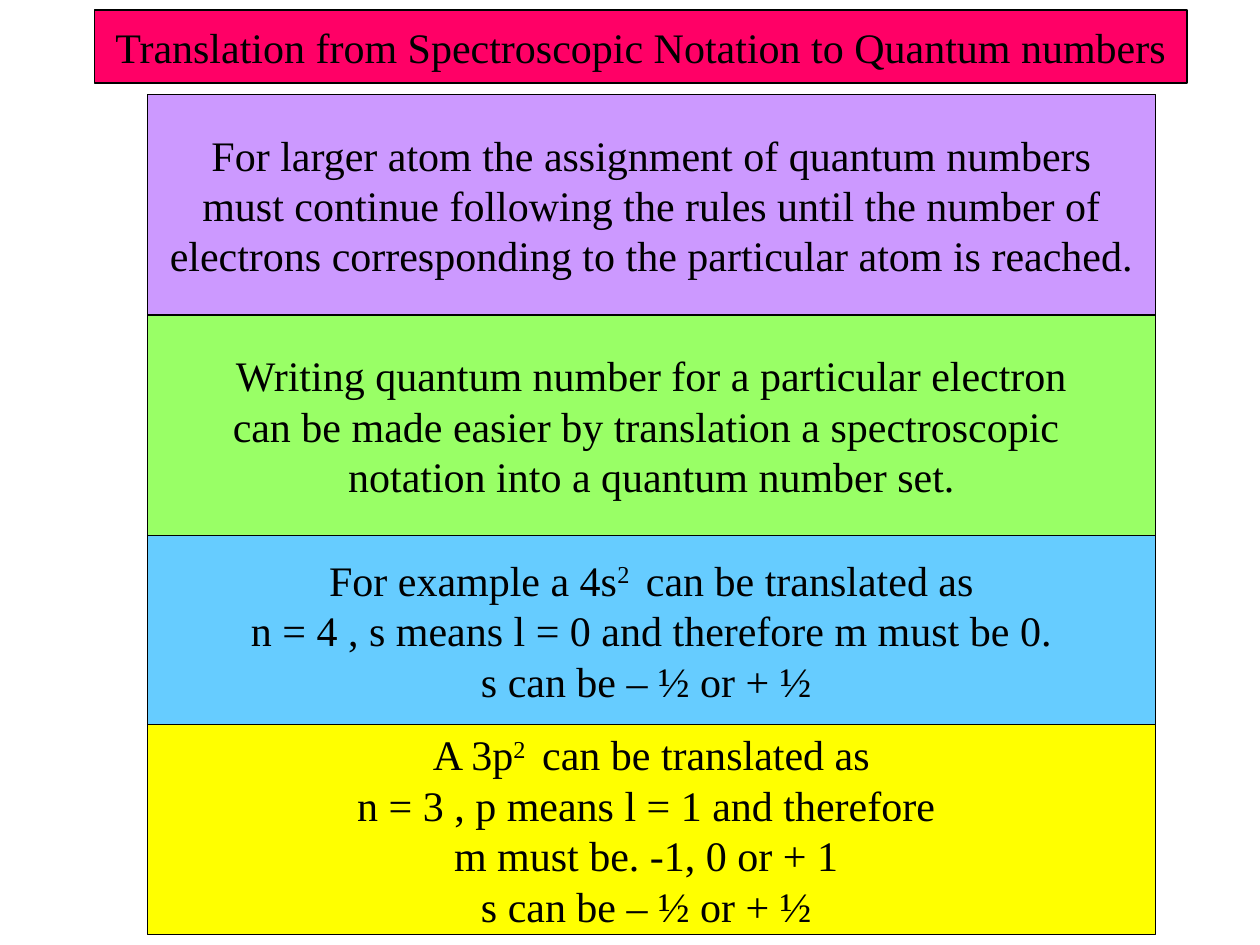
from dataclasses import dataclass

from pptx import Presentation
from pptx.dml.color import RGBColor
from pptx.enum.shapes import MSO_SHAPE
from pptx.enum.text import MSO_ANCHOR, MSO_AUTO_SIZE, PP_ALIGN
from pptx.util import Inches, Pt


@dataclass(frozen=True)
class Theme:
    font: str = "Times New Roman"
    size: float = 24
    line_width: float = 0.74
    ink: str = "000000"
    title: str = "FF0066"
    rules: str = "CC99FF"
    notation: str = "99FF66"
    s_example: str = "66CCFF"
    p_example: str = "FFFF00"


class SlideBuilder:
    def __init__(self, slide, theme):
        self.s = slide
        self.theme = theme

    def style_box(self, sp, fill):
        sp.fill.solid()
        sp.fill.fore_color.rgb = RGBColor.from_string(fill)
        sp.line.color.rgb = RGBColor.from_string(self.theme.ink)
        sp.line.width = Pt(self.theme.line_width)

    def set_lines(self, sp, lines):
        """Set one paragraph per line; text between carets is superscript."""
        tf = sp.text_frame
        tf.word_wrap = False
        tf.auto_size = MSO_AUTO_SIZE.NONE
        tf.vertical_anchor = MSO_ANCHOR.MIDDLE
        for n, line in enumerate(lines):
            p = tf.add_paragraph() if n else tf.paragraphs[0]
            p.alignment = PP_ALIGN.CENTER
            for i, part in enumerate(line.split("^")):
                r = p.add_run()
                r.text = part
                r.font.name = self.theme.font
                r.font.size = Pt(self.theme.size)
                r.font.color.rgb = RGBColor.from_string(self.theme.ink)
                if i % 2:
                    r.font._element.set("baseline", "30000")

    def title(self, text, left, top, width, height):
        sp = self.s.shapes.title
        sp.left, sp.top = Inches(left), Inches(top)
        sp.width, sp.height = Inches(width), Inches(height)
        self.style_box(sp, self.theme.title)
        self.set_lines(sp, [text])

    def panel(self, lines, fill, left, top, width, height):
        sp = self.s.shapes.add_shape(
            MSO_SHAPE.RECTANGLE,
            Inches(left), Inches(top), Inches(width), Inches(height))
        sp.shadow.inherit = False
        self.style_box(sp, fill)
        self.set_lines(sp, lines)


theme = Theme()
prs = Presentation()
prs.slide_width, prs.slide_height = Inches(10), Inches(7.5)
slide = SlideBuilder(prs.slides.add_slide(prs.slide_layouts[5]), theme)

# Title bar
slide.title("Translation from Spectroscopic Notation to Quantum numbers",
            0.75, 0.08, 8.67, 0.58)

# Stacked panels: fill, height, lines
SPIN = "s can be – ½ or + ½ "
panels = [
    (theme.rules, 1.75, [
        "For larger atom the assignment of quantum numbers",
        "must continue following the rules until the number of",
        "electrons corresponding to the particular atom is reached."]),
    (theme.notation, 1.75, [
        "Writing quantum number for a particular electron",
        "can be made easier by translation a spectroscopic ",
        "notation into a quantum number set."]),
    (theme.s_example, 1.5, [
        "For example a 4s^2 ^ can be translated as",
        "n = 4 , s means l = 0 and therefore m must be 0.",
        SPIN]),
    (theme.p_example, 1.67, [
        "A 3p^2 ^ can be translated as",
        "n = 3 , p means l = 1 and therefore ",
        "m must be. -1, 0 or + 1 ",
        SPIN]),
]
top = 0.75
for fill, height, lines in panels:
    slide.panel(lines, fill, 1.17, top, 8, height)
    top += height

prs.save("out.pptx")
